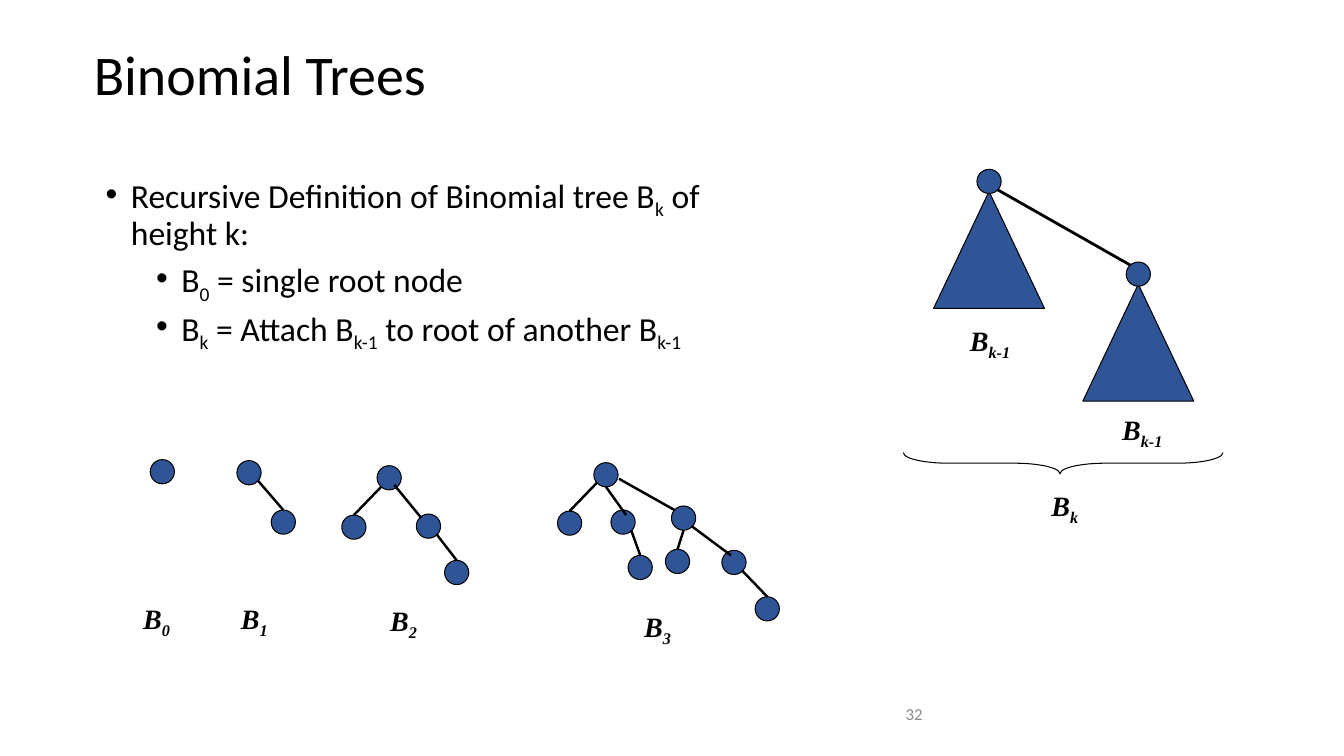
from dataclasses import dataclass
from typing import Optional

from lxml.etree import SubElement
from pptx import Presentation
from pptx.dml.color import RGBColor
from pptx.enum.shapes import MSO_CONNECTOR, MSO_SHAPE
from pptx.enum.text import MSO_ANCHOR, MSO_AUTO_SIZE, PP_ALIGN
from pptx.oxml.ns import qn
from pptx.util import Inches, Pt

BLUE = "2F5597"
BLACK = "000000"
GRAY = "8C8C8C"
NODE = 0.24
TRIANGLE_W, TRIANGLE_H = 1.1, 1.16

Point = tuple[float, float]


@dataclass
class Edge:
    begin: Point
    child: int
    end: Optional[Point] = None


@dataclass
class Tree:
    label: str
    label_at: Point
    nodes: list[Point]
    edges: list[Edge]


@dataclass
class Subtree:
    root: Point
    label_at: Point


@dataclass
class Bullet:
    text: str
    level: int
    left: float
    before: float


TREES = [
    Tree("B|0", (1.32, 5.92), [(1.49, 4.56)], []),
    Tree("B|1", (2.29, 5.92), [(2.35, 4.57), (2.69, 5.06)],
         [Edge((2.56, 4.77), 1)]),
    Tree("B|2", (3.77, 5.94),
         [(3.74, 4.62), (3.39, 5.11), (4.13, 5.1), (4.41, 5.56)],
         [Edge((3.78, 4.83), 1), Edge((3.91, 4.81), 2, (4.18, 5.14)),
          Edge((4.33, 5.3), 3)]),
    Tree("B|3", (6.29, 6),
         [(5.89, 4.59), (5.53, 5.07), (6.06, 5.06), (6.23, 5.51),
          (6.66, 5.02), (6.6, 5.45), (7.16, 5.46), (7.49, 5.92)],
         [Edge((5.92, 4.79), 1), Edge((6.01, 4.83), 2, (6.21, 5.11)),
          Edge((6.26, 5.26), 3), Edge((6.14, 4.75), 4, (6.69, 5.06)),
          Edge((6.78, 5.26), 5), Edge((6.86, 5.22), 6, (7.25, 5.51)),
          Edge((7.36, 5.66), 7)]),
]

SUBTREES = [
    Subtree((9.69, 1.68), (9.52, 3.16)),
    Subtree((11.17, 2.6), (11.03, 4.04)),
]

BULLETS = [
    Bullet("Recursive Definition of Binomial tree B|k| of height k:", 0, 0.25, 0),
    Bullet("B|0| = single root node", 1, 0.75, 5),
    Bullet("B|k| = Attach B|k-1| to root of another B|k-1", 1, 0.75, 5),
]


def rgb(value: str) -> RGBColor:
    return RGBColor.from_string(value)


def write(p, text: str, *, size: float, font: str = "Calibri",
          color: str = BLACK, bold: bool = False, italic: bool = False,
          align=PP_ALIGN.LEFT, spacing: float = 1.0) -> None:
    p.alignment = align
    p.line_spacing = spacing
    for i, part in enumerate(text.split("|")):
        if not part:
            continue
        r = p.add_run()
        r.text = part
        r.font.size = Pt(size)
        r.font.name = font
        r.font.bold = bold
        r.font.italic = italic
        r.font.color.rgb = rgb(color)
        if i % 2:
            r.font._element.set("baseline", "-25000")


def add_box(s, left: float, top: float, width: float, height: float):
    sp = s.shapes.add_textbox(Inches(left), Inches(top), Inches(width), Inches(height))
    sp.text_frame.word_wrap = True
    return sp.text_frame


def add_label(s, text: str, at: Point) -> None:
    tf = add_box(s, *at, 0.81, 0.44)
    tf.auto_size = MSO_AUTO_SIZE.SHAPE_TO_FIT_TEXT
    write(tf.paragraphs[0], text, size=20, font="Times New Roman",
          bold=True, italic=True)


def add_outline(shapes, kind, left: float, top: float, width: float,
                height: float, fill: Optional[str] = BLUE):
    sp = shapes.add_shape(kind, Inches(left), Inches(top), Inches(width), Inches(height))
    sp.shadow.inherit = False
    if fill:
        sp.fill.solid()
        sp.fill.fore_color.rgb = rgb(fill)
    else:
        sp.fill.background()
    sp.line.color.rgb = rgb(BLACK)
    sp.line.width = Pt(0.75)
    return sp


def add_node(shapes, at: Point):
    return add_outline(shapes, MSO_SHAPE.OVAL, *at, NODE, NODE)


def add_line(s, begin: Point, end: Point, width: float):
    line = s.shapes.add_connector(MSO_CONNECTOR.STRAIGHT,
                                  *(Inches(v) for v in (*begin, *end)))
    line.line.color.rgb = rgb(BLACK)
    line.line.width = Pt(width)
    SubElement(line._element.spPr, qn("a:effectLst"))
    return line


def add_tree(s, tree: Tree) -> None:
    nodes = [add_node(s.shapes, at) for at in tree.nodes]
    for edge in tree.edges:
        line = add_line(s, edge.begin, edge.end or tree.nodes[edge.child], 1.75)
        if edge.end is None:
            line.end_connect(nodes[edge.child], 0)
    add_label(s, tree.label, tree.label_at)


def add_subtree(s, subtree: Subtree) -> None:
    x, y = subtree.root
    group = s.shapes.add_group_shape()
    add_outline(group.shapes, MSO_SHAPE.ISOSCELES_TRIANGLE,
                x + (NODE - TRIANGLE_W) / 2, y + 0.22, TRIANGLE_W, TRIANGLE_H)
    add_node(group.shapes, subtree.root)
    add_label(s, "B|k-1", subtree.label_at)


def add_bullet(p, bullet: Bullet) -> None:
    p.level = bullet.level
    p.space_before = Pt(bullet.before)
    write(p, bullet.text, size=24, spacing=0.9)
    pPr = p._p.get_or_add_pPr()
    pPr.set("marL", str(Inches(bullet.left)))
    pPr.set("indent", str(Inches(-0.25)))
    SubElement(pPr, qn("a:buFont")).set("typeface", "Arial")
    SubElement(pPr, qn("a:buChar")).set("char", "•")


def main() -> None:
    prs = Presentation()
    prs.slide_width, prs.slide_height = Inches(13.33), Inches(7.5)
    s = prs.slides.add_slide(prs.slide_layouts[5])

    title = s.shapes.title
    title.left, title.top = Inches(0.83), Inches(0.42)
    title.width, title.height = Inches(8.5), Inches(1.25)
    tf = title.text_frame
    tf.auto_size = MSO_AUTO_SIZE.NONE
    tf.vertical_anchor = MSO_ANCHOR.TOP
    write(tf.paragraphs[0], "Binomial Trees", size=40, spacing=0.9)

    tf = add_box(s, 0.95, 1.69, 6.49, 3.47)
    for i, bullet in enumerate(BULLETS):
        add_bullet(tf.add_paragraph() if i else tf.paragraphs[0], bullet)

    add_line(s, (9.89, 1.88), (11.21, 2.63), 2)
    for subtree in SUBTREES:
        add_subtree(s, subtree)
    brace = add_outline(s.shapes, MSO_SHAPE.LEFT_BRACE, 10.44, 3.01, 0.21, 3.17, None)
    brace.rotation = 270
    brace.adjustments[0], brace.adjustments[1] = 2.14, 0.49
    add_label(s, "B|k", (10.33, 4.8))

    for tree in TREES:
        add_tree(s, tree)

    tf = add_box(s, 7.17, 6.83, 2.08, 0.5)
    tf.vertical_anchor = MSO_ANCHOR.MIDDLE
    write(tf.paragraphs[0], "32", size=12, color=GRAY, align=PP_ALIGN.RIGHT)

    prs.save("out.pptx")


if __name__ == "__main__":
    main()
